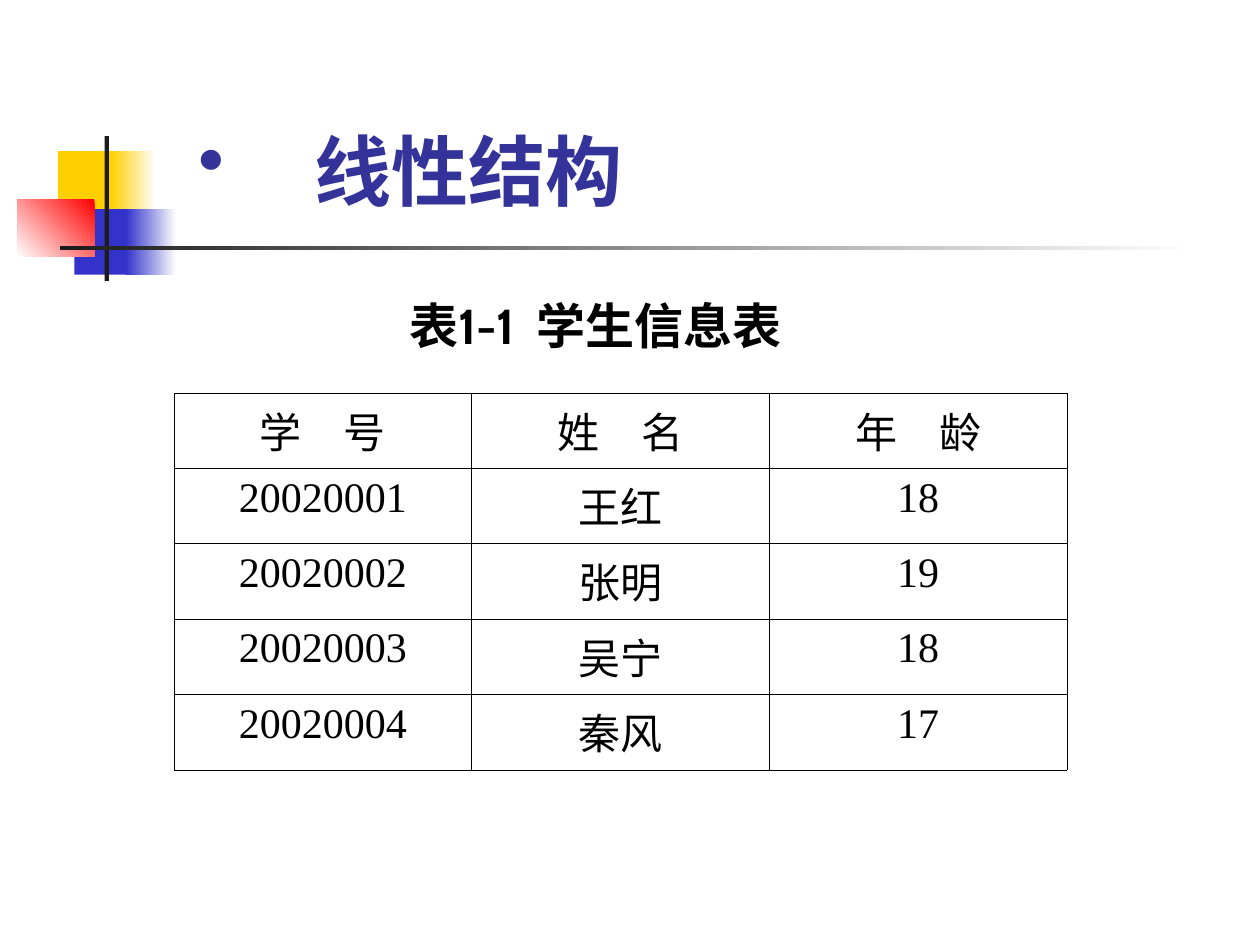
import pptx
import pptx.util
import pptx.dml.color
import pptx.enum.shapes
import pptx.enum.text
import lxml.etree

deck = pptx.Presentation()
deck.slide_width = pptx.util.Inches(10)
deck.slide_height = pptx.util.Inches(7.5)
slide = deck.slides.add_slide(deck.slide_layouts[6])
shapes = slide.shapes
center = pptx.enum.text.PP_ALIGN.CENTER


def tint(code):
    return pptx.dml.color.RGBColor.from_string(code)


def place(left, top, wide, high):
    """Turn percentages of the slide into lengths."""
    across, down = deck.slide_width / 100, deck.slide_height / 100
    return [int(left * across), int(top * down), int(wide * across), int(high * down)]


# Corner ornament and title rule: place, colours, gradient angle
blocks = [
    ((4.6, 16, 4.8, 6.93), ["FFCF01"], 0),
    ((8.8, 16, 3.6, 6.93), ["FFFFFF", "FFCF01"], 180),
    ((5.9, 22.13, 4.6, 6.93), ["3333CC"], 0),
    ((10, 22.13, 4, 6.93), ["FFFFFF", "3333CC"], 180),
    ((1.4, 21.07, 6.1, 6.13), ["FF0000", "FFFFFF"], 225),
    ((8.3, 14.4, 0.35, 15.33), ["1C1C1C"], 0),
    ((4.8, 26, 90, 0.45), ["FFFFFF", "1C1C1C"], 180),
]
for spot, hues, angle in blocks:
    block = shapes.add_shape(pptx.enum.shapes.MSO_SHAPE.RECTANGLE, *place(*spot))
    block.shadow.inherit = False
    block.line.fill.background()
    if len(hues) == 1:
        block.fill.solid()
        block.fill.fore_color.rgb = tint(hues[0])
    else:
        block.fill.gradient()
        block.fill.gradient_angle = angle
        for stop, hue in zip(block.fill.gradient_stops, hues):
            stop.color.rgb = tint(hue)

# Title and table caption
texts = [
    ("线性结构", (14.8, 11.2, 75.4, 12.27), 44, "333399", True),
    ("表1-1  学生信息表", (18.5, 29.07, 57.5, 9.07), 28, "000000", False),
]
for words, spot, size, hue, dotted in texts:
    box = shapes.add_textbox(*place(*spot))
    frame = box.text_frame
    frame.word_wrap = True
    frame.vertical_anchor = pptx.enum.text.MSO_ANCHOR.BOTTOM
    para = frame.paragraphs[0]
    para.text = words
    if dotted:
        props = para._p.get_or_add_pPr()
        indent = pptx.util.Inches(0.92)
        props.set("marL", str(indent))
        props.set("indent", str(-indent))
        mark = lxml.etree.SubElement(props, pptx.oxml.ns.qn("a:buChar"))
        mark.set("char", "•")
    else:
        para.alignment = center
    style = {"size": pptx.util.Pt(size), "name": "Cabin", "bold": True}
    for key, value in style.items():
        setattr(para.runs[0].font, key, value)
    para.runs[0].font.color.rgb = tint(hue)

# Student table
rows = [
    ("学　号", "姓　名", "年　龄"),
    ("20020001", "王红", "18"),
    ("20020002", "张明", "19"),
    ("20020003", "吴宁", "18"),
    ("20020004", "秦风", "17"),
]
spot = place(13.8, 41.6, 70.9, 39.87)
table = shapes.add_table(len(rows), len(rows[0]), *spot).table
table.first_row = table.horz_banding = False
style = {"size": pptx.util.Pt(24), "name": "Times New Roman", "bold": False}
for r, row in enumerate(rows):
    for c, words in enumerate(row):
        cell = table.cell(r, c)
        cell.text = words
        para = cell.text_frame.paragraphs[0]
        para.alignment = center
        for key, value in style.items():
            setattr(para.runs[0].font, key, value)
        para.runs[0].font.color.rgb = tint("000000")
        # Borders come before the fill in the cell's properties
        props = cell._tc.get_or_add_tcPr()
        for side in ("lnL", "lnR", "lnT", "lnB"):
            heavy = (r, side) in ((0, "lnB"), (1, "lnT"))
            edge = lxml.etree.SubElement(props, pptx.oxml.ns.qn("a:" + side))
            edge.set("w", str(pptx.util.Pt(0.96 if heavy else 0.45)))
            ink = lxml.etree.SubElement(edge, pptx.oxml.ns.qn("a:solidFill"))
            lxml.etree.SubElement(ink, pptx.oxml.ns.qn("a:srgbClr")).set("val", "000000")
        cell.fill.background()

deck.save("out.pptx")
